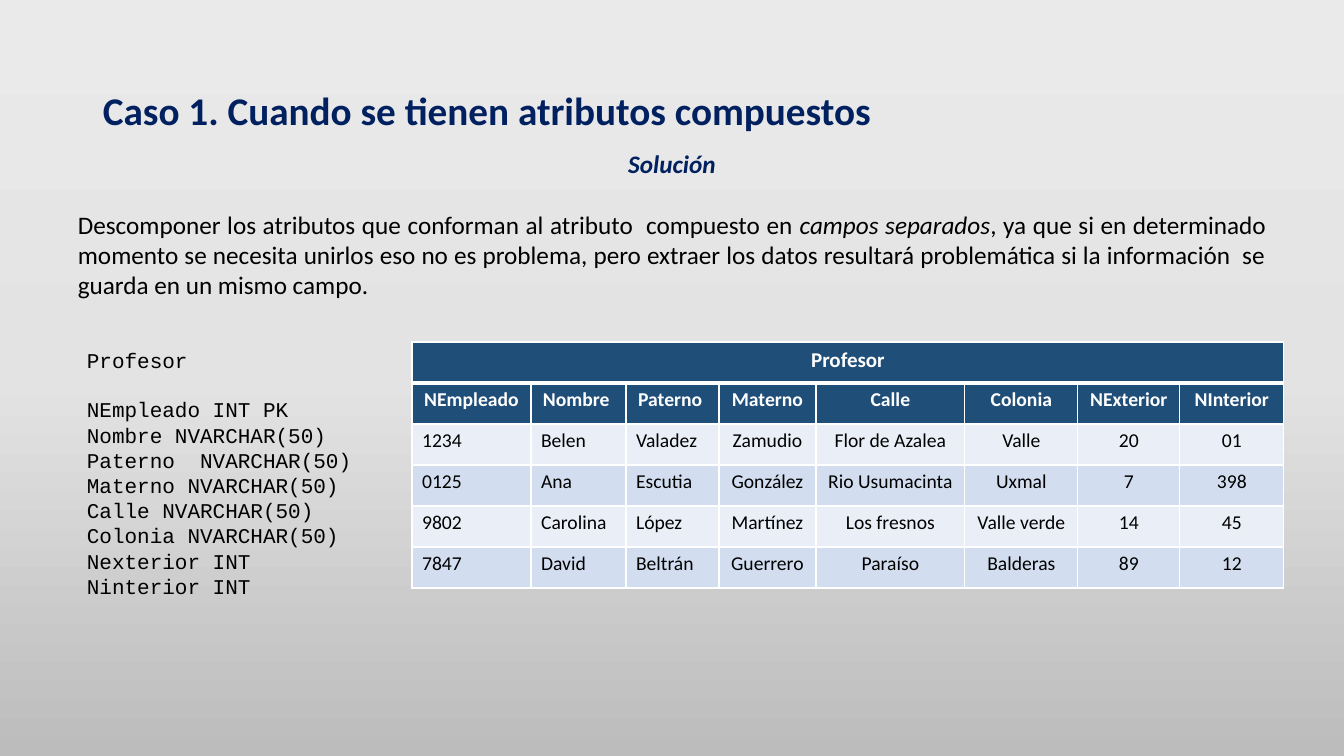
from copy import deepcopy

from lxml import etree
from pptx import Presentation
from pptx.dml.color import RGBColor
from pptx.enum.text import MSO_ANCHOR, MSO_AUTO_SIZE, PP_ALIGN
from pptx.oxml.ns import qn
from pptx.util import Emu, Pt

LEFT, CENTER, JUSTIFY = PP_ALIGN.LEFT, PP_ALIGN.CENTER, PP_ALIGN.JUSTIFY
MIDDLE, TOP = MSO_ANCHOR.MIDDLE, MSO_ANCHOR.TOP
GROW, FIXED = MSO_AUTO_SIZE.SHAPE_TO_FIT_TEXT, MSO_AUTO_SIZE.NONE

EMU_PER_PX = 914400 / 100.8
SANS, MONO = "Calibri", "Courier New"
COLORS = {
    "navy": "002060", "black": "000000", "white": "FFFFFF",
    "header": "1F4E79", "light_row": "EAEFF7", "dark_row": "D2DEEF",
    "bg_top": "EBEAEA", "bg_middle": "E4E3E3", "bg_bottom": "BDBCBC",
}

SCHEMA = [
    "Profesor",
    "NEmpleado INT PK",
    "Nombre NVARCHAR(50)",
    "Paterno  NVARCHAR(50)",
    "Materno NVARCHAR(50)",
    "Calle NVARCHAR(50)",
    "Colonia NVARCHAR(50)",
    "Nexterior INT",
    "Ninterior INT",
]
FIELDS = ["NEmpleado", "Nombre ", "Paterno ", "Materno",
          "Calle", "Colonia", "NExterior", "NInterior"]
PROFESSORS = [
    ["1234", "Belen", "Valadez", "Zamudio", "Flor de Azalea", "Valle", "20", "01"],
    ["0125", "Ana", "Escutia", "González", "Rio Usumacinta", "Uxmal", "7", "398"],
    ["9802", "Carolina", "López", "Martínez", "Los fresnos", "Valle verde", "14", "45"],
    ["7847", "David", "Beltrán", "Guerrero", "Paraíso", "Balderas", "89", "12"],
]
FIELD_WIDTHS = [119, 95, 93, 97, 149, 113, 102, 104]
ROW_HEIGHT = 41
LEFT_ALIGNED_FIELDS = 3


def px(length):
    return Emu(round(length * EMU_PER_PX))


def rgb(name):
    return RGBColor.from_string(COLORS[name])


def paint_background(slide):
    fill = slide.background.fill
    fill.gradient()
    fill.gradient_angle = 270
    first_stop = slide.element.find(".//" + qn("a:gs"))
    first_stop.addnext(deepcopy(first_stop))
    for index, name in enumerate(["bg_top", "bg_middle", "bg_bottom"]):
        stop = fill.gradient_stops[index]
        stop.position = index / 2
        stop.color.rgb = rgb(name)


def add_text_frame(slide, left, top, width, height, anchor=TOP, auto_size=GROW):
    frame = slide.shapes.add_textbox(px(left), px(top), px(width), px(height)).text_frame
    frame.word_wrap = True
    frame.auto_size = auto_size
    frame.vertical_anchor = anchor
    return frame


def style(paragraph, size, color, font=SANS, bold=False, italic=None, align=LEFT):
    paragraph.alignment = align
    paragraph.font.name = font
    paragraph.font.size = Pt(size)
    paragraph.font.bold = bold
    paragraph.font.italic = italic
    paragraph.font.color.rgb = rgb(color)


def add_border(cell, side, width):
    properties = cell._tc.get_or_add_tcPr()
    line = etree.SubElement(properties, qn("a:ln" + side), w=str(Pt(width)))
    fill = etree.SubElement(line, qn("a:solidFill"))
    etree.SubElement(fill, qn("a:srgbClr"), val=COLORS["white"])


def format_cell(cell, fill, bottom=1):
    for side, width in (("L", 1), ("R", 1), ("T", 1), ("B", bottom)):
        add_border(cell, side, width)
    cell.fill.solid()
    cell.fill.fore_color.rgb = rgb(fill)


def fill_cell(cell, text, **text_style):
    cell.text = text
    style(cell.text_frame.paragraphs[0], **text_style)


def add_professor_table(slide, left, top):
    rows = [FIELDS] + PROFESSORS
    row_count = len(rows) + 1
    table = slide.shapes.add_table(
        row_count, len(FIELDS), px(left), px(top),
        px(sum(FIELD_WIDTHS)), px(ROW_HEIGHT * row_count)).table
    table.horz_banding = False
    for column, width in zip(table.columns, FIELD_WIDTHS):
        column.width = px(width)
    for row in table.rows:
        row.height = px(ROW_HEIGHT)

    # Table name across all fields
    for column in range(len(FIELDS)):
        format_cell(table.cell(0, column), "header", bottom=3)
    table.cell(0, 0).merge(table.cell(0, len(FIELDS) - 1))
    fill_cell(table.cell(0, 0), "Profesor", size=15, color="white", bold=True, align=CENTER)

    # Field names, then the records in alternating shades
    for row, values in enumerate(rows, start=1):
        is_header = row == 1
        shade = "header" if is_header else ("light_row", "dark_row")[row % 2]
        for column, value in enumerate(values):
            cell = table.cell(row, column)
            format_cell(cell, shade)
            centered = is_header or column >= LEFT_ALIGNED_FIELDS
            fill_cell(cell, value, size=14, color="white" if is_header else "black",
                      bold=is_header, align=CENTER if centered else LEFT)


def add_title(slide):
    title = add_text_frame(slide, 93, 40, 1159, 146, MIDDLE, FIXED).paragraphs[0]
    title.text = "Caso 1. Cuando se tienen atributos compuestos"
    title.line_spacing = 0.9
    style(title, 28, "navy", bold=True)


def add_solution(slide):
    frame = add_text_frame(slide, 68, 143, 1208, 194)
    heading = frame.paragraphs[0]
    heading.text = "Solución"
    style(heading, 18, "navy", bold=True, italic=True, align=CENTER)

    explanation = frame.add_paragraph()
    explanation.space_before = Pt(22)
    style(explanation, 18, "black", align=JUSTIFY)
    for text, italic in (
        ("Descomponer los atributos que conforman al atributo  compuesto en ", False),
        ("campos separados", True),
        (", ya que si en determinado momento se necesita unirlos eso no es problema, "
         "pero extraer los datos resultará problemática si la información  "
         "se guarda en un mismo campo.", False),
    ):
        run = explanation.add_run()
        run.text = text
        run.font.italic = italic


def add_schema(slide):
    frame = add_text_frame(slide, 77, 343, 299, 265)
    for index, line in enumerate(SCHEMA):
        paragraph = frame.add_paragraph() if index else frame.paragraphs[0]
        paragraph.text = line
        if index == 1:
            paragraph.space_before = Pt(17)
        style(paragraph, 15, "black", font=MONO)


def main():
    presentation = Presentation()
    presentation.slide_width, presentation.slide_height = px(1344), px(756)
    slide = presentation.slides.add_slide(presentation.slide_layouts[6])
    paint_background(slide)
    add_title(slide)
    add_professor_table(slide, 412, 342)
    add_solution(slide)
    add_schema(slide)
    presentation.save("out.pptx")


if __name__ == "__main__":
    main()
